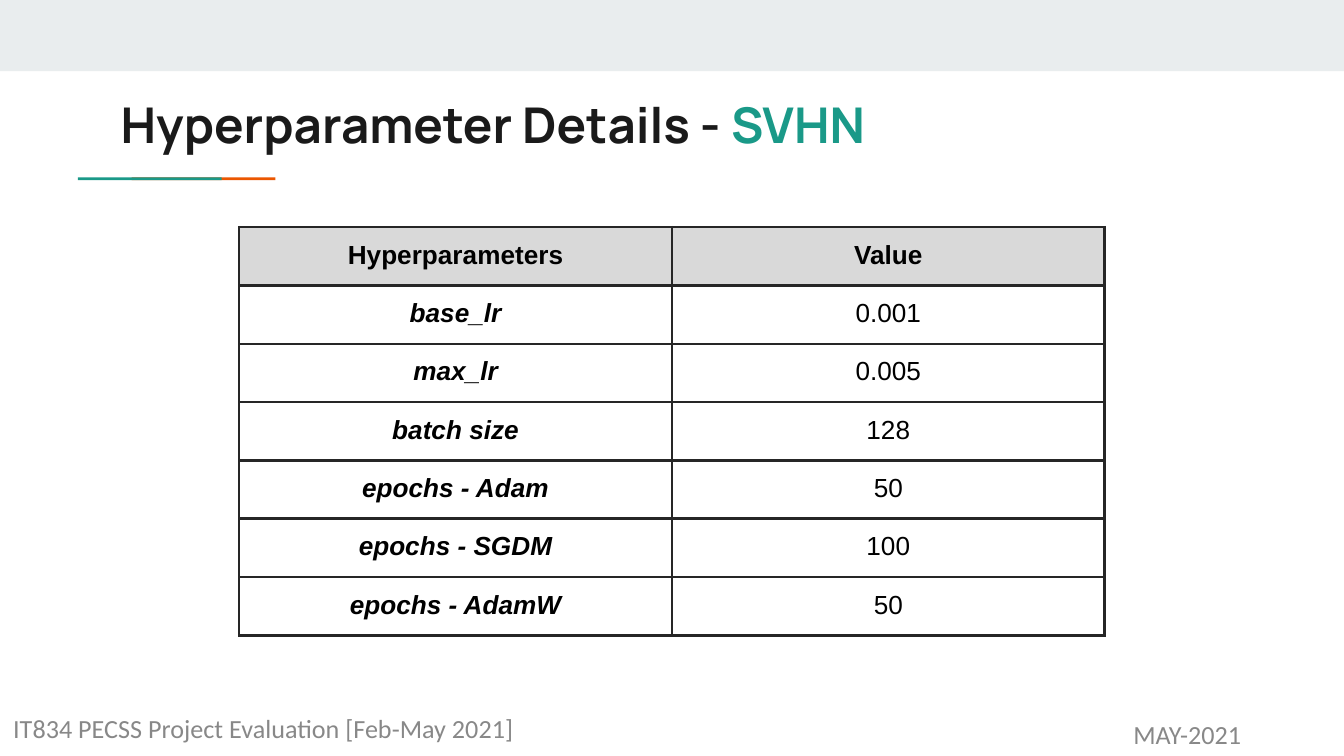
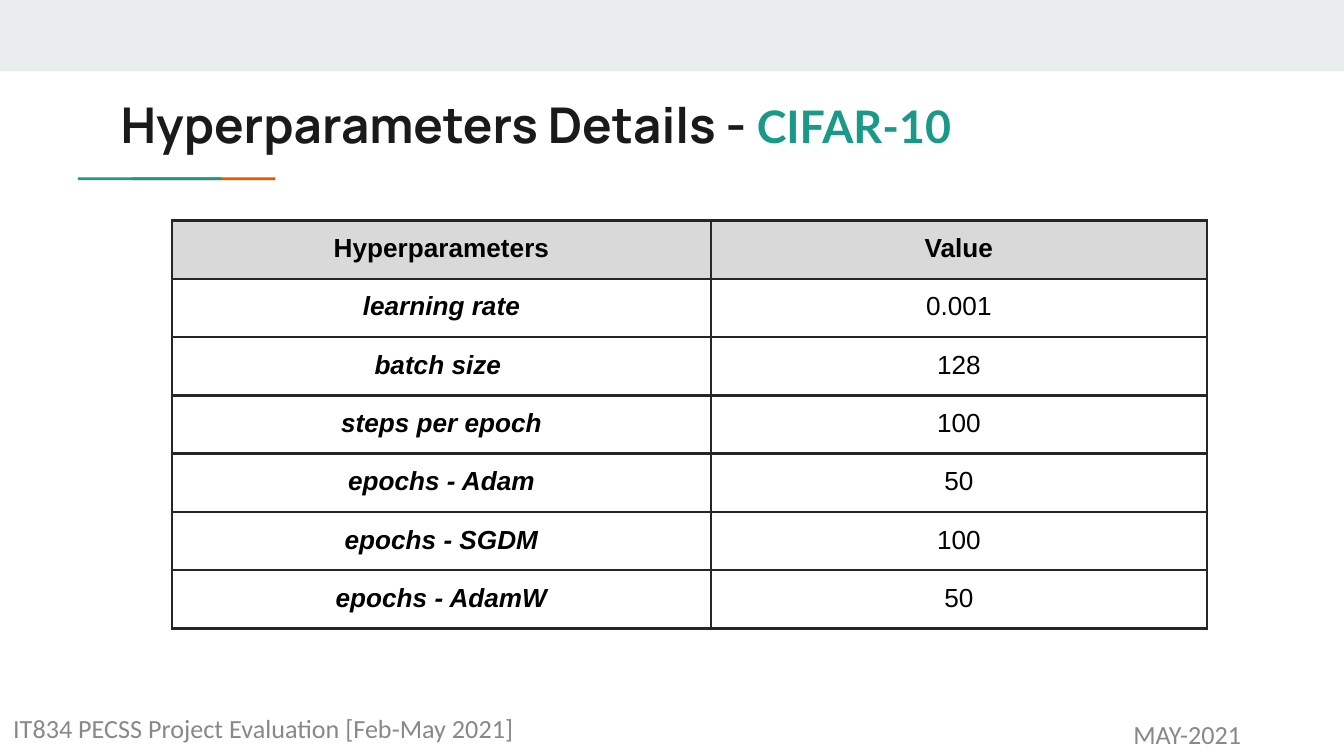
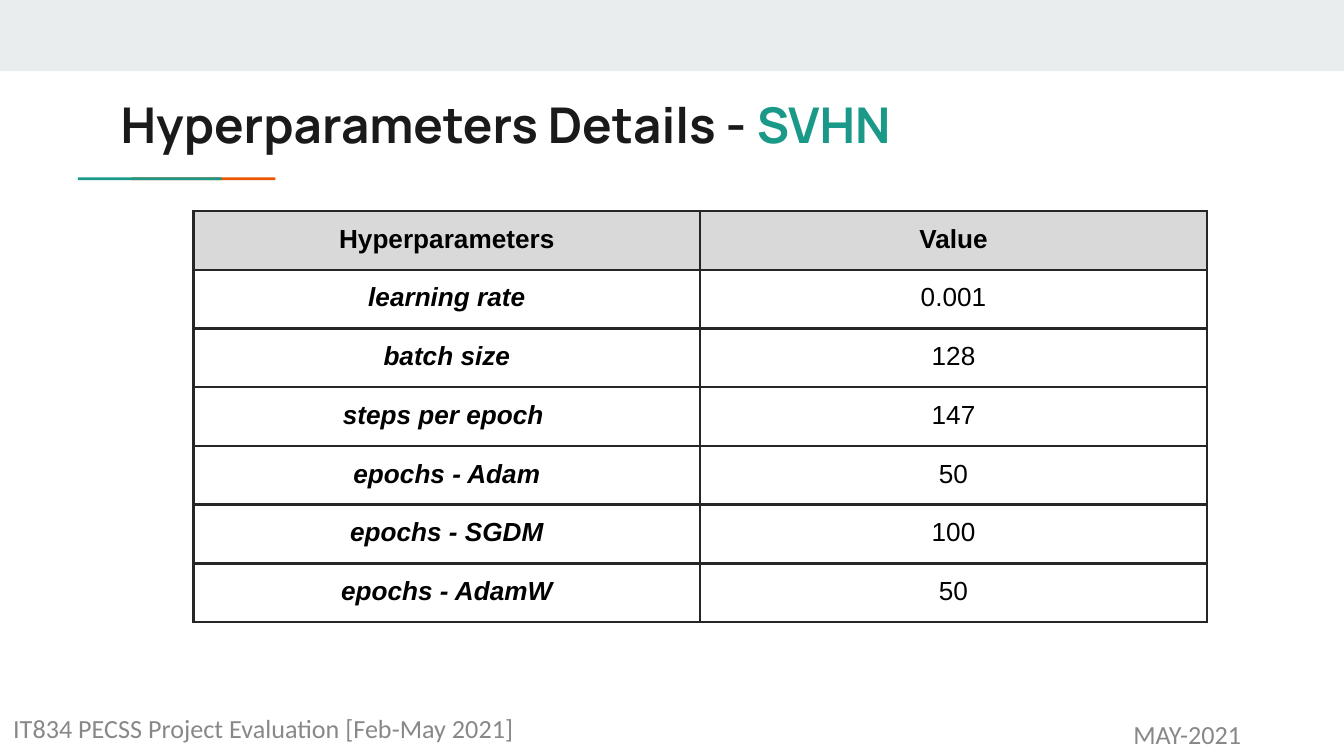
from dataclasses import dataclass

from lxml import etree
from pptx import Presentation
from pptx.dml.color import RGBColor
from pptx.enum.shapes import MSO_SHAPE
from pptx.enum.text import MSO_ANCHOR, PP_ALIGN
from pptx.oxml.ns import qn
from pptx.slide import Slide
from pptx.table import _Cell
from pptx.text.text import TextFrame
from pptx.util import Inches, Pt

RECTANGLE = MSO_SHAPE.RECTANGLE
LEFT, CENTER = PP_ALIGN.LEFT, PP_ALIGN.CENTER
TOP, MIDDLE = MSO_ANCHOR.TOP, MSO_ANCHOR.MIDDLE


@dataclass(frozen=True)
class Theme:
    band: str = "E9EDEE"
    teal: str = "1A9988"
    orange: str = "EB5600"
    title: str = "1A1A1A"
    footer: str = "888888"
    cell_text: str = "000000"
    header_fill: str = "D9D9D9"
    border: str = "262626"
    title_font: str = "Manrope"
    footer_font: str = "Calibri"
    table_font: str = "Arial"
    title_size: float = 26.4
    body_size: float = 14
    border_width: float = 1.5


THEME = Theme()


@dataclass(frozen=True)
class Box:
    left: float
    top: float
    width: float
    height: float


@dataclass(frozen=True)
class Bar:
    box: Box
    color: str


@dataclass(frozen=True)
class Footer:
    box: Box
    text: str
    align: PP_ALIGN


@dataclass(frozen=True)
class HyperparameterSlide:
    heading: str
    dataset: str
    settings: tuple[tuple[str, str], ...]
    left: float
    top: float
    columns: tuple[float, float]
    height: float
    edge_row: float | None = None
    dataset_font: str = THEME.title_font
    dataset_size: float = THEME.title_size


TITLE_BOX = Box(0.8, 0.6, 8.41, 0.6)
BARS = (
    Bar(Box(0, 0, 10, 0.53), THEME.band),
    Bar(Box(0.98, 1.32, 1.07, 0.02), THEME.orange),
    Bar(Box(0.58, 1.32, 1.07, 0.02), THEME.teal),
)
FOOTERS = (
    Footer(Box(0, 5.21, 6.83, 0.41), "IT834 PECSS Project Evaluation [Feb-May 2021]", LEFT),
    Footer(Box(7.67, 5.3, 2.33, 0.33), "MAY-2021", CENTER),
)
TABLE_HEADER = ("Hyperparameters", "Value")
EPOCHS = (("epochs - Adam", "50"), ("epochs - SGDM", "100"), ("epochs - AdamW", "50"))

SLIDES = (
    HyperparameterSlide(
        "Hyperparameter Details - ", "SVHN",
        (("base_lr", "0.001"), ("max_lr", "0.005"), ("batch size", "128"), *EPOCHS),
        left=1.78, top=1.69, columns=(3.22, 3.22), height=3.03,
    ),
    HyperparameterSlide(
        "Hyperparameters Details - ", "CIFAR-10",
        (("learning rate", "0.001"), ("batch size ", "128"), ("steps per epoch", "100"), *EPOCHS),
        left=1.28, top=1.64, columns=(4.01, 3.69), height=2.87, edge_row=0.35,
        dataset_font="Lato", dataset_size=24,
    ),
    HyperparameterSlide(
        "Hyperparameters Details - ", "SVHN",
        (("learning rate", "0.001"), ("batch size", "128"), ("steps per epoch ", "147"), *EPOCHS),
        left=1.44, top=1.57, columns=(3.77, 3.77), height=3.06,
    ),
)


def place(box: Box) -> tuple[int, int, int, int]:
    return Inches(box.left), Inches(box.top), Inches(box.width), Inches(box.height)


def write(frame: TextFrame, text: str, *, font: str, size: float, color: str,
          bold: bool = False, italic: bool = False, align: PP_ALIGN = LEFT) -> None:
    paragraph = frame.paragraphs[0]
    paragraph.alignment = align
    run = paragraph.add_run()
    run.text = text
    run.font.name = font
    run.font.size = Pt(size)
    run.font.color.rgb = RGBColor.from_string(color)
    run.font.bold = bold
    run.font.italic = italic


def add_frame(slide: Slide, box: Box, anchor: MSO_ANCHOR, margin: float) -> TextFrame:
    frame = slide.shapes.add_textbox(*place(box)).text_frame
    frame.word_wrap = True
    frame.vertical_anchor = anchor
    frame.margin_left = frame.margin_right = Inches(0.1)
    frame.margin_top = frame.margin_bottom = Inches(margin)
    return frame


def add_bar(slide: Slide, bar: Bar) -> None:
    shape = slide.shapes.add_shape(RECTANGLE, *place(bar.box))
    shape.shadow.inherit = False
    shape.fill.solid()
    shape.fill.fore_color.rgb = RGBColor.from_string(bar.color)
    shape.line.fill.background()


def add_title(slide: Slide, content: HyperparameterSlide) -> None:
    frame = add_frame(slide, TITLE_BOX, TOP, 0.1)
    write(frame, content.heading, font=THEME.title_font, size=THEME.title_size,
          color=THEME.title, bold=True)
    write(frame, content.dataset, font=content.dataset_font, size=content.dataset_size,
          color=THEME.teal, bold=True)


def add_footer(slide: Slide, footer: Footer) -> None:
    frame = add_frame(slide, footer.box, MIDDLE, 0.05)
    write(frame, footer.text, font=THEME.footer_font, size=THEME.body_size,
          color=THEME.footer, align=footer.align)


def outline_cell(cell: _Cell) -> None:
    properties = cell._tc.get_or_add_tcPr()
    for side in ("a:lnL", "a:lnR", "a:lnT", "a:lnB"):
        line = etree.SubElement(properties, qn(side), w=str(Pt(THEME.border_width)))
        fill = etree.SubElement(line, qn("a:solidFill"))
        etree.SubElement(fill, qn("a:srgbClr"), val=THEME.border)


def fill_cell(cell: _Cell, text: str, is_header: bool, is_name: bool) -> None:
    cell.margin_left = cell.margin_right = Inches(0.1)
    cell.margin_top = cell.margin_bottom = Inches(0.1)
    outline_cell(cell)
    if is_header:
        cell.fill.solid()
        cell.fill.fore_color.rgb = RGBColor.from_string(THEME.header_fill)
    else:
        cell.fill.background()
    write(cell.text_frame, text, font=THEME.table_font, size=THEME.body_size,
          color=THEME.cell_text, bold=is_header or is_name,
          italic=is_name and not is_header, align=CENTER)


def row_heights(content: HyperparameterSlide, count: int) -> list[float]:
    if content.edge_row is None:
        return [content.height / count] * count
    inner = (content.height - 2 * content.edge_row) / (count - 2)
    return [content.edge_row, *[inner] * (count - 2), content.edge_row]


def add_settings_table(slide: Slide, content: HyperparameterSlide) -> None:
    entries = (TABLE_HEADER, *content.settings)
    box = Box(content.left, content.top, sum(content.columns), content.height)
    table = slide.shapes.add_table(len(entries), len(TABLE_HEADER), *place(box)).table
    table.first_row = table.horz_banding = False
    for column, width in zip(table.columns, content.columns):
        column.width = Inches(width)
    for row, height in zip(table.rows, row_heights(content, len(entries))):
        row.height = Inches(height)
    for row_index, entry in enumerate(entries):
        for column_index, text in enumerate(entry):
            fill_cell(table.cell(row_index, column_index), text,
                      is_header=row_index == 0, is_name=column_index == 0)


def main() -> None:
    deck = Presentation()
    deck.slide_width = Inches(10)
    deck.slide_height = Inches(10 * 9 / 16)
    blank = deck.slide_layouts[6]
    for content in SLIDES:
        slide = deck.slides.add_slide(blank)
        for bar in BARS:
            add_bar(slide, bar)
        add_title(slide, content)
        for footer in FOOTERS:
            add_footer(slide, footer)
        add_settings_table(slide, content)
    deck.save("out.pptx")


if __name__ == "__main__":
    main()
